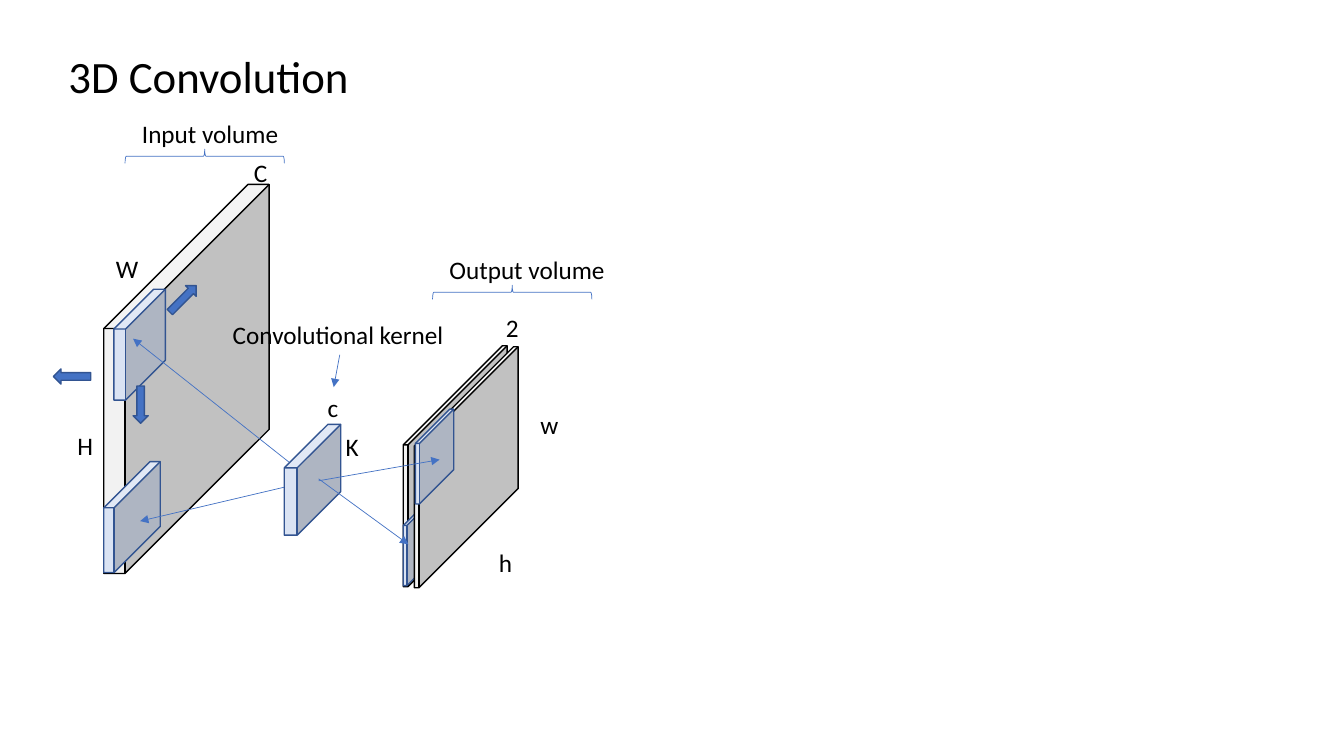
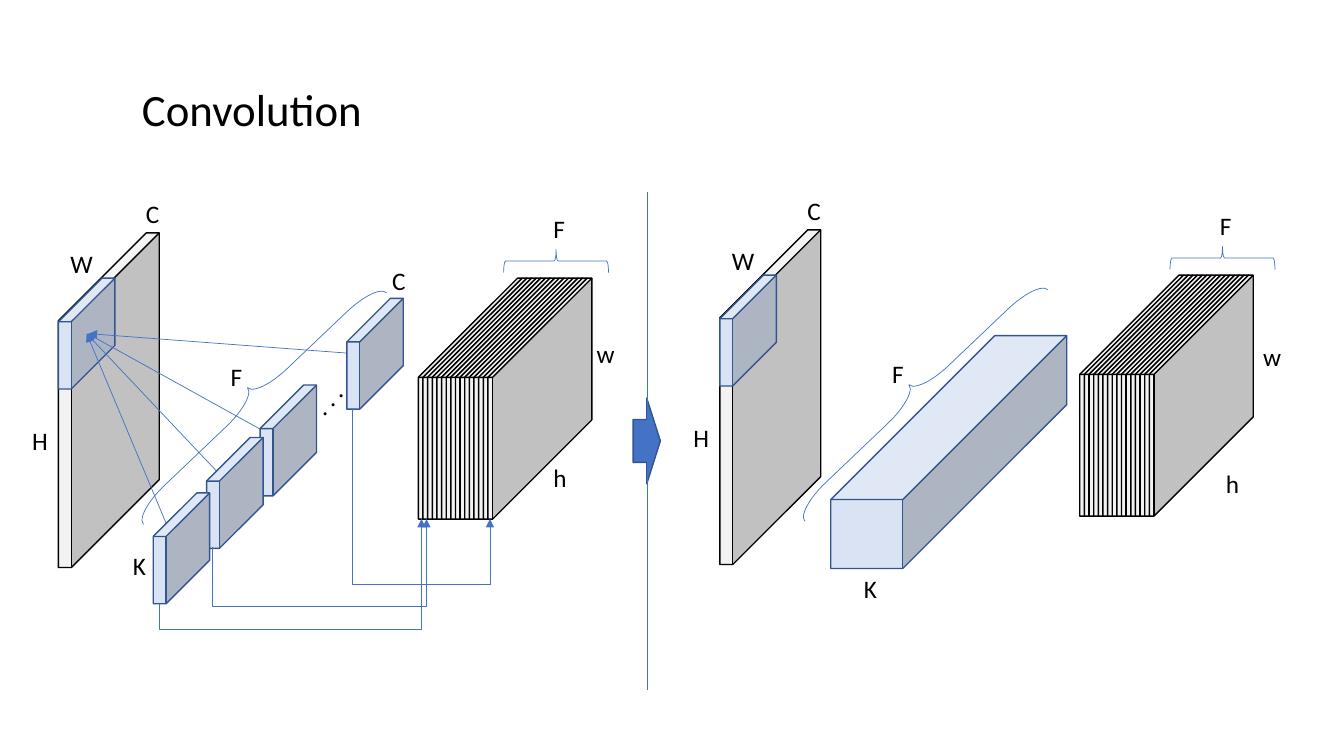
from pptx import Presentation
from pptx.util import Inches, Pt
from pptx.dml.color import RGBColor
from pptx.enum.shapes import MSO_SHAPE, MSO_CONNECTOR
from pptx.enum.text import MSO_AUTO_SIZE
from pptx.oxml.ns import qn
from lxml import etree

# Shared look
COLORS = {"text": "000000", "slab": "F2F2F2", "slab_edge": "000000",
          "kernel": "DAE3F3", "kernel_edge": "325491", "accent": "4472C4"}
FONT = "Calibri"
TITLE_SIZE, LABEL_SIZE = 32, 18
LABEL_H, TITLE_H = 0.4, 0.64
THIN = 0.5

# Recurring sizes: width, height, depth adjustment
OUTPUT = (1.03, 2.39, 0.955)
KERNEL = (0.56, 1.1, 0.773)
INPUT = (1, 3.32, 0.872)
OUTPUT_PATCH = (0.38, 0.94)
SMALL_ARROW = (0.15, 0.37)
SLICES, SLICE_STEP = 16, 0.046

# Slide 1, back to front
CONVOLUTION_3D = [
    ("title", "3D Convolution", 0.58, 0.43, 3.02),
    ("slab", 1.03, 1.83, 1.64, 3.86, 0.872),
    ("kernel", 1.13, 2.87, 0.51, 1.1, 0.773),
    ("arrow", (3.1, 4.77), (1.32, 3.36)),
    ("label", "H", 0.67, 4.22, 0.36),
    ("label", "W", 1.05, 2.46, 0.43),
    ("label", "C", 2.42, 1.51, 0.34),
    ("label", "K", 3.33, 4.23, 0.33),
    ("slab", 4, 3.43, *OUTPUT),
    ("down", 1.32, 3.83, *SMALL_ARROW),
    ("down", 1.74, 2.78, *SMALL_ARROW, 224.9),
    ("kernel", 1.03, 4.58, 0.56, 1.1, 0.818),
    ("arrow", (3.09, 4.77), (1.39, 5.17)),
    ("kernel", 2.82, 4.21, *KERNEL),
    ("kernel", 4, 4.87, *OUTPUT_PATCH, 0.906),
    ("arrow", (3.16, 4.75), (4.05, 5.4)),
    ("label", "c", 3.15, 3.84, 0.31),
    ("label", "2", 4.92, 3.05, 0.33),
    ("brace", 1.96, 0.76, 0.14, 1.58, 90),
    ("label", "Input volume", 1.31, 1.12, 1.57),
    ("label", "Convolutional kernel", 2.21, 3.12, 2.32),
    ("arrow", (3.37, 3.52), (3.31, 3.84)),
    ("brace", 5.01, 2.11, 0.14, 1.58, 90),
    ("label", "Output volume", 4.36, 2.47, 1.76),
    ("slab", 4.11, 3.44, *OUTPUT),
    ("down", 0.64, 3.55, *SMALL_ARROW, 90),
    ("kernel", 4.12, 4.06, *OUTPUT_PATCH, 0.895),
    ("arrow", (3.16, 4.77), (4.36, 4.56)),
    ("label", "w", 5.26, 4.01, 0.38),
    ("label", "h", 4.85, 5.38, 0.34),
]


# Slide 2: the parts both panels share, for a panel moved by dx, dy
def input_volume(dx=0, dy=0):
    return [
        ("slab", 0.58 + dx, 2.31 + dy, *INPUT),
        ("kernel", 0.58 + dx, 2.76 + dy, *KERNEL),
        ("label", "H", 0.22 + dx, 4.17 + dy, 0.36),
        ("label", "W", 0.6 + dx, 2.41 + dy, 0.43),
        ("label", "C", 1.35 + dx, 1.92 + dy, 0.34),
    ]


def filters_and_output(dx=0, dy=0):
    return [
        ("stack", 4.15 + dx, 2.76 + dy),
        ("brace", 2.4 + dx, 2.29 + dy, 0.27, 3.33, 46.4, (1.546, 0.495)),
        ("label", "F", 2.19 + dx, 3.54 + dy, 0.32),
    ]


def output_count(dx=0, dy=0):
    return [
        ("brace", 5.4 + dx, 2.07 + dy, 0.23, 1.04, 90),
        ("label", "F", 5.39 + dx, 2.07 + dy, 0.32),
    ]


RIGHT, RIGHT_COUNT = (6.56, -0.03), (6.61, -0.03)
CONVOLUTION = [
    *input_volume(),
    ("arrow", (2.38, 4.92), (0.86, 3.31)),
    ("arrow", (2.91, 4.44), (0.87, 3.31)),
    ("arrow", (3.8, 3.53), (0.88, 3.31)),
    ("kernel", 2.58, 3.82, *KERNEL),
    ("title", "Convolution", 1.31, 0.76, 2.41),
    ("kernel", 2.05, 4.34, *KERNEL),
    ("kernel", 3.44, 2.96, *KERNEL),
    ("label", ". . .", 2.99, 3.76, 0.51, 311.6),
    ("arrow", (1.71, 5.34), (0.86, 3.31)),
    ("kernel", 1.52, 4.89, *KERNEL),
    *filters_and_output(),
    ("elbow", (1.58, 5.99), (4.18, 5.15), 6.24),
    ("elbow", (2.11, 5.43), (4.23, 5.15), 6.02),
    ("elbow", (3.5, 4.05), (4.86, 5.15), 5.8),
    ("label", "K", 1.22, 5.41, 0.33),
    *output_count(),
    *input_volume(*RIGHT),
    *filters_and_output(*RIGHT),
    ("label", "K", 8.47, 5.64, 0.33),
    ("kernel", 8.24, 3.33, 2.34, 2.31, 0.704),
    ("right", 6.28, 3.95, 0.27, 0.85),
    *output_count(*RIGHT_COUNT),
    ("label", "C", 3.79, 2.58, 0.34),
    ("label", "h", 5.39, 4.54, 0.34),
    ("label", "w", 5.82, 3.31, 0.38),
    ("label", "h", 12.06, 4.6, 0.34),
    ("label", "w", 12.43, 3.34, 0.38),
    ("line", (6.42, 1.9), (6.42, 6.85)),
]


# Basic objects
def rgb(name):
    return RGBColor.from_string(COLORS[name])


def add_text(shapes, text, x, y, w, h, size, rot=0):
    sp = shapes.add_textbox(*map(Inches, (x, y, w, h)))
    sp.rotation = rot
    tf = sp.text_frame
    tf.word_wrap = False
    tf.auto_size = MSO_AUTO_SIZE.SHAPE_TO_FIT_TEXT
    r = tf.paragraphs[0].add_run()
    r.text = text
    for key, value in {"name": FONT, "size": Pt(size)}.items():
        setattr(r.font, key, value)
    r.font.color.rgb = rgb("text")


def add_preset(shapes, kind, box, fill, edge, width=1, rot=0, adj=()):
    sp = shapes.add_shape(kind, *map(Inches, box))
    sp.shadow.inherit = False
    sp.rotation = rot
    for i, value in enumerate(adj):
        sp.adjustments[i] = value
    if fill:
        sp.fill.solid()
        sp.fill.fore_color.rgb = rgb(fill)
    else:
        sp.fill.background()
    sp.line.color.rgb = rgb(edge)
    sp.line.width = Pt(width)


def line(shapes, start, end, kind=MSO_CONNECTOR.STRAIGHT, head=False):
    cn = shapes.add_connector(kind, *map(Inches, (*start, *end)))
    cn.line.color.rgb = rgb("accent")
    cn.line.width = Pt(THIN)
    props = cn._element.spPr
    etree.SubElement(props, qn("a:effectLst"))
    if head:
        etree.SubElement(props.find(qn("a:ln")), qn("a:tailEnd"), type="triangle")
    return cn


# Parts of the diagrams
def title(shapes, text, x, y, w):
    add_text(shapes, text, x, y, w, TITLE_H, TITLE_SIZE)


def label(shapes, text, x, y, w, rot=0):
    add_text(shapes, text, x, y, w, LABEL_H, LABEL_SIZE, rot)


def slab(shapes, x, y, w, h, depth):
    add_preset(shapes, MSO_SHAPE.CUBE, (x, y, w, h), "slab", "slab_edge", adj=[depth])


def kernel(shapes, x, y, w, h, depth):
    add_preset(shapes, MSO_SHAPE.CUBE, (x, y, w, h), "kernel", "kernel_edge", adj=[depth])


def stack(shapes, x, y):
    group = shapes.add_group_shape()
    for i in range(SLICES):
        slab(group.shapes, x + i * SLICE_STEP, y, *OUTPUT)


def brace(shapes, x, y, w, h, rot, adj=()):
    add_preset(shapes, MSO_SHAPE.LEFT_BRACE, (x, y, w, h), None, "accent", THIN, rot, adj)


def down(shapes, x, y, w, h, rot=0):
    add_preset(shapes, MSO_SHAPE.DOWN_ARROW, (x, y, w, h), "accent", "kernel_edge", rot=rot)


def right(shapes, x, y, w, h):
    add_preset(shapes, MSO_SHAPE.RIGHT_ARROW, (x, y, w, h), "accent", "kernel_edge")


def arrow(shapes, start, end):
    line(shapes, start, end, head=True)


def elbow(shapes, start, end, floor):
    """Runs down to the floor, across, then up to the end."""
    dx, dy = end[0] - start[0], end[1] - start[1]
    mid_x, mid_y = (start[0] + end[0]) / 2, (start[1] + end[1]) / 2
    # The connector lies on its side, so width and height change places
    half_w, half_h = abs(dy) / 2, dx / 2
    turn, side = (90, 1) if dy < 0 else (270, -1)
    cn = line(shapes, (mid_x + half_w, mid_y + side * half_h),
              (mid_x - half_w, mid_y - side * half_h), MSO_CONNECTOR.ELBOW, True)
    props = cn._element.spPr
    props.find(qn("a:xfrm")).set("rot", str(turn * 60000))
    guides = props.find(qn("a:prstGeom")).get_or_add_avLst()
    bend = round((floor - start[1]) / dy * 100000)
    etree.SubElement(guides, qn("a:gd"), name="adj1", fmla=f"val {bend}")


DRAW = {"title": title, "label": label, "slab": slab, "kernel": kernel,
        "stack": stack, "brace": brace, "down": down, "right": right,
        "line": line, "arrow": arrow, "elbow": elbow}

# Build
prs = Presentation()
prs.slide_width, prs.slide_height = Inches(13.33), Inches(7.5)
for parts in (CONVOLUTION_3D, CONVOLUTION):
    s = prs.slides.add_slide(prs.slide_layouts[6])
    for name, *values in parts:
        DRAW[name](s.shapes, *values)
prs.save("out.pptx")
